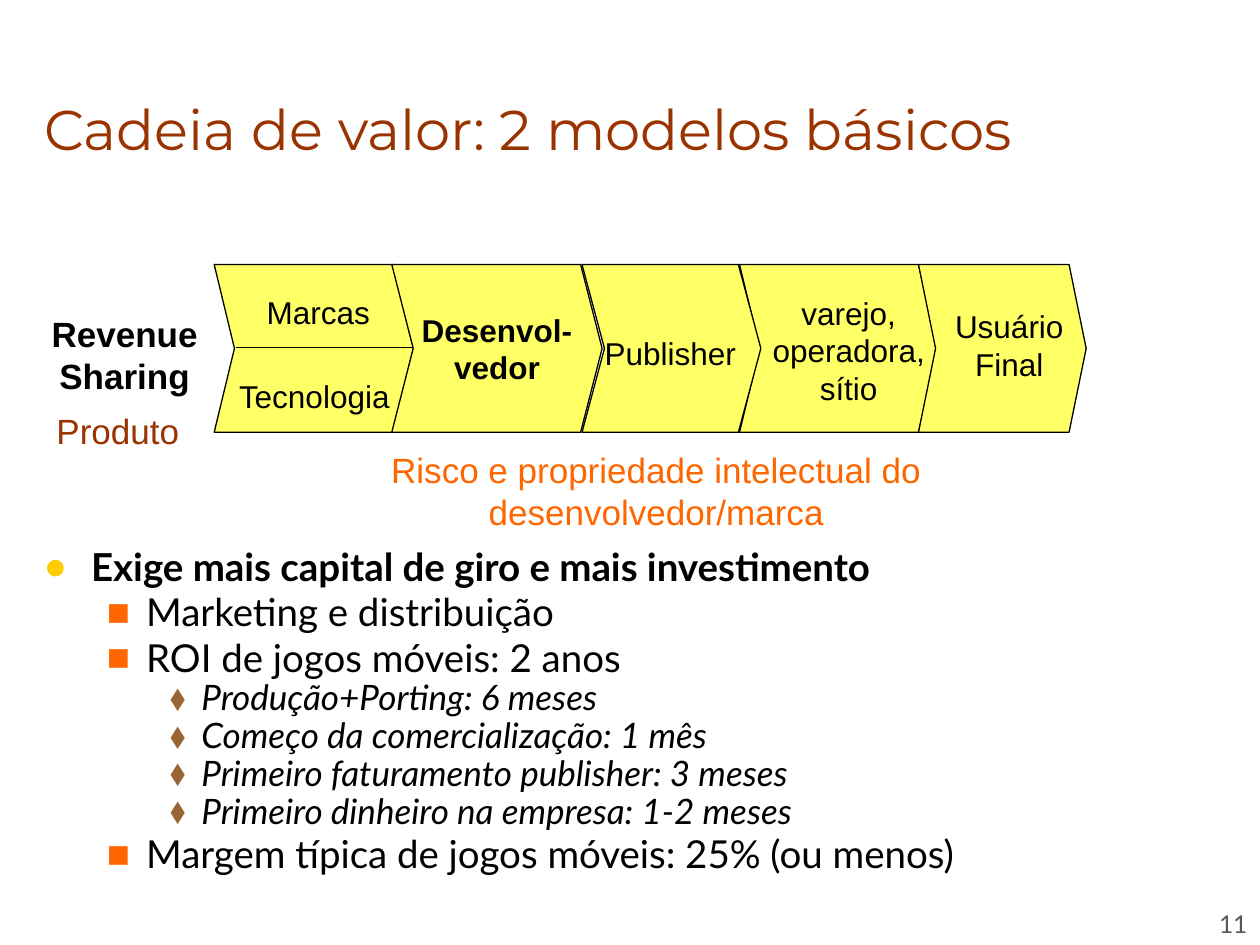
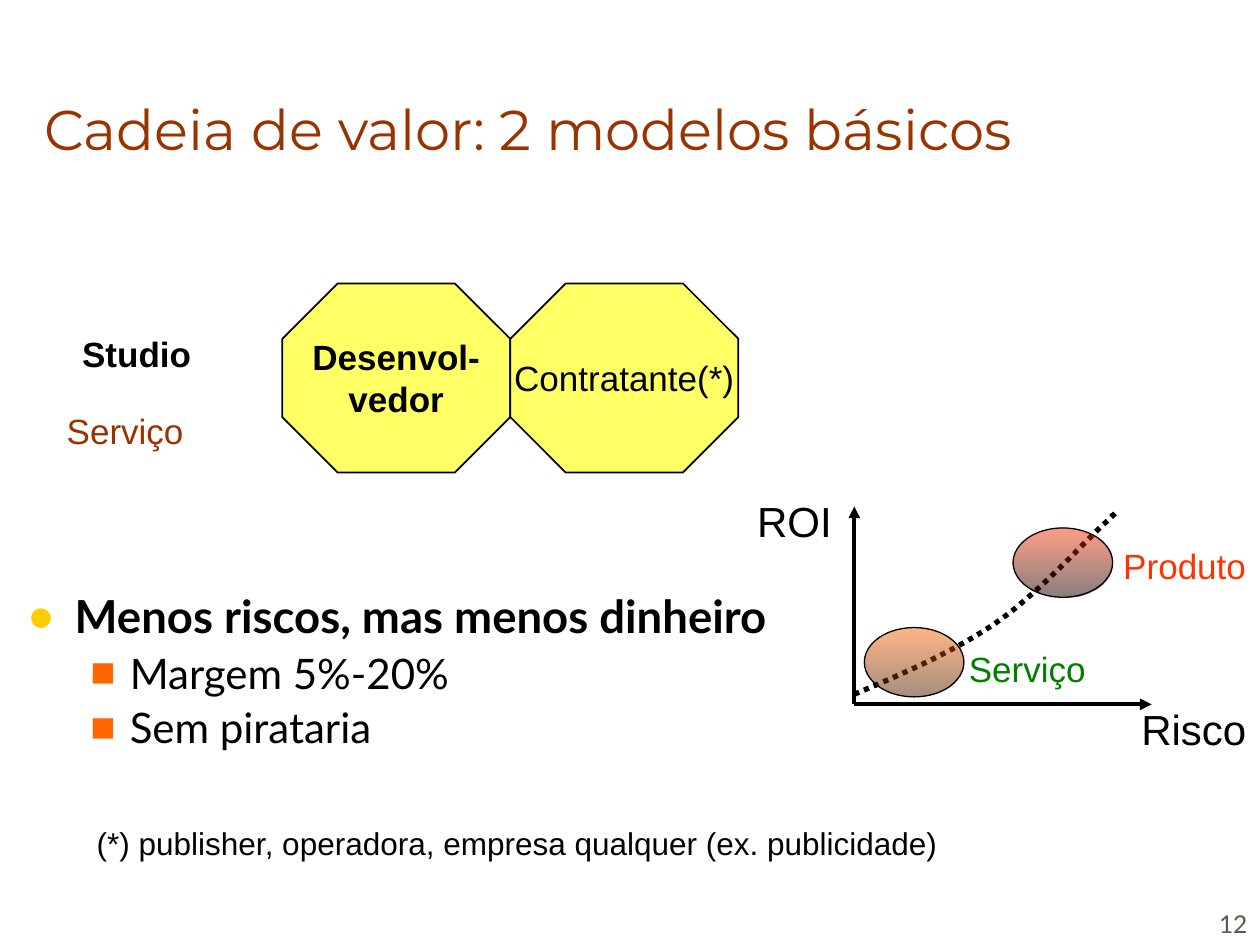
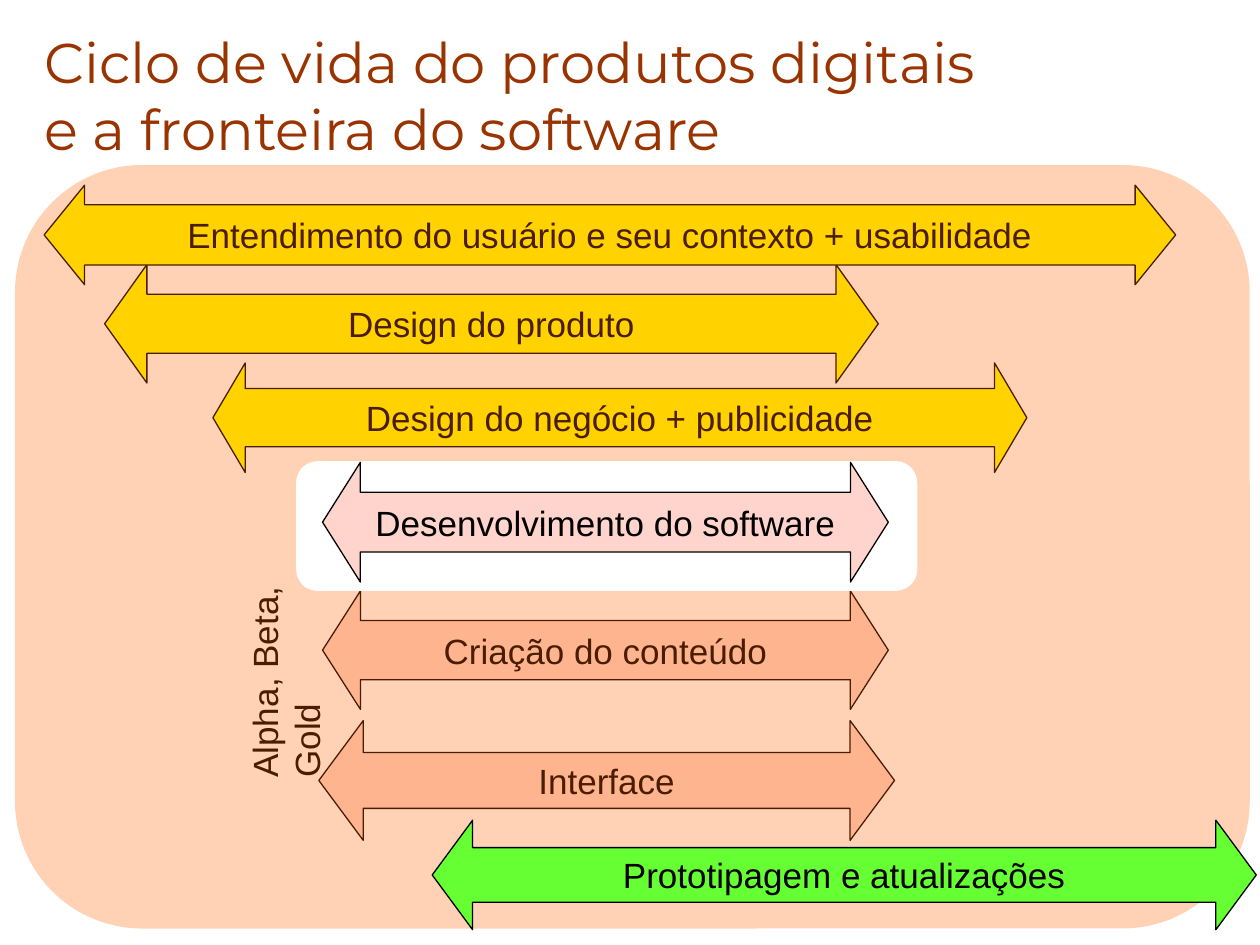
from typing import Any, NamedTuple

from lxml import etree
from pptx import Presentation
from pptx.dml.color import RGBColor
from pptx.enum.dml import MSO_LINE
from pptx.enum.shapes import MSO_CONNECTOR, MSO_SHAPE
from pptx.enum.text import MSO_ANCHOR, MSO_AUTO_SIZE, PP_ALIGN
from pptx.oxml.ns import qn
from pptx.util import Pt

CHEVRON = MSO_SHAPE.CHEVRON
OCTAGON = MSO_SHAPE.OCTAGON
DOUBLE_ARROW = MSO_SHAPE.LEFT_RIGHT_ARROW
ROUNDED = MSO_SHAPE.ROUNDED_RECTANGLE
ELLIPSE = MSO_SHAPE.OVAL
STRAIGHT = MSO_CONNECTOR.STRAIGHT
DOTTED = MSO_LINE.ROUND_DOT
LEFT, CENTER, RIGHT = PP_ALIGN.LEFT, PP_ALIGN.CENTER, PP_ALIGN.RIGHT
TOP, MIDDLE, BOTTOM = MSO_ANCHOR.TOP, MSO_ANCHOR.MIDDLE, MSO_ANCHOR.BOTTOM
FIT_SHAPE, NO_FIT = MSO_AUTO_SIZE.SHAPE_TO_FIT_TEXT, MSO_AUTO_SIZE.NONE

BLACK = RGBColor(0x00, 0x00, 0x00)
WHITE = RGBColor(0xFF, 0xFF, 0xFF)
RUST = RGBColor(0x99, 0x33, 0x00)
GRAY = RGBColor(0x5E, 0x57, 0x4E)
PALE_YELLOW = RGBColor(0xFF, 0xFF, 0x66)
YELLOW = RGBColor(0xFF, 0xFF, 0x00)
GOLD = RGBColor(0xFF, 0xCC, 0x00)
ORANGE = RGBColor(0xFF, 0x66, 0x00)
DARK_ORANGE = RGBColor(0x4D, 0x1F, 0x00)
RED = RGBColor(0xFF, 0x33, 0x00)
DARK_RED = RGBColor(0x10, 0x03, 0x00)
BROWN = RGBColor(0x99, 0x66, 0x33)
GREEN = RGBColor(0x00, 0x80, 0x00)
LIME = RGBColor(0x66, 0xFF, 0x33)
PINK = RGBColor(0xFF, 0xD4, 0xCC)

BODY_FONT, TITLE_FONT, LABEL_FONT = "Lato", "Montserrat", "Arial"


class Box(NamedTuple):
    left: float
    top: float
    width: float
    height: float

    def lengths(self) -> list[Pt]:
        return [Pt(length) for length in self]


class Label(NamedTuple):
    text: str
    box: Box
    size: float = 20
    color: RGBColor = BLACK
    bold: bool = False
    align: Any = LEFT
    wrap: bool = False
    spacing: float = 1.0
    rotation: float = 0
    font: str = LABEL_FONT
    anchor: Any = TOP


class Block(NamedTuple):
    kind: Any
    box: Box
    adjustments: tuple[float, ...]
    fill: RGBColor
    text: str = ""
    size: float = 20
    bold: bool = False
    border: float = 0.75


class BulletLevel(NamedTuple):
    mark: str
    color: RGBColor
    margin: float
    hanging: float
    before: float


class Item(NamedTuple):
    level: int
    text: str
    size: float
    bold: bool = False
    italic: bool = False


LEVELS = (
    BulletLevel("●", GOLD, 27, 27, 0.6),
    BulletLevel("■", ORANGE, 58.5, 22.5, 0.1),
    BulletLevel("⬧", BROWN, 90, 18, 0),
)
TITLE_BOX = Box(18, 6, 670, 90)
NUMBER_BOX = Box(570, 504, 150, 36)


def assign(target: Any, formats: dict[str, Any]) -> None:
    for attribute, value in formats.items():
        setattr(target, attribute, value)


def style_runs(frame: Any, align: Any, spacing: float, color: RGBColor, formats: dict[str, Any]) -> None:
    for paragraph in frame.paragraphs:
        assign(paragraph, {"alignment": align, "line_spacing": spacing})
        for run in paragraph.runs:
            assign(run.font, formats)
            run.font.color.rgb = color


def new_slide(deck: Any, title: str, number: str = "") -> Any:
    slide = deck.slides.add_slide(deck.slide_layouts.get_by_name("Title Only"))
    heading = slide.shapes.title
    assign(heading, dict(zip(("left", "top", "width", "height"), TITLE_BOX.lengths())))
    heading.text_frame.text = title
    assign(heading.text_frame, {"vertical_anchor": BOTTOM, "auto_size": NO_FIT})
    style_runs(heading.text_frame, LEFT, 1.0, RUST, {"name": TITLE_FONT, "size": Pt(32)})
    if number:
        add_label(slide, Label(number, NUMBER_BOX, 14, GRAY, align=RIGHT, wrap=True,
                               font=BODY_FONT, anchor=BOTTOM))
    return slide


def add_label(slide: Any, label: Label) -> None:
    caption = slide.shapes.add_textbox(*label.box.lengths())
    caption.rotation = label.rotation
    frame = caption.text_frame
    frame.text = label.text
    assign(frame, {
        "word_wrap": label.wrap,
        "auto_size": NO_FIT if label.wrap else FIT_SHAPE,
        "vertical_anchor": label.anchor,
    })
    style_runs(frame, label.align, label.spacing, label.color,
               {"name": label.font, "size": Pt(label.size), "bold": label.bold})


def outline(shape: Any, width: float) -> None:
    shape.line.color.rgb = BLACK
    shape.line.width = Pt(width)


def add_block(slide: Any, block: Block) -> None:
    shape = slide.shapes.add_shape(block.kind, *block.box.lengths())
    shape.shadow.inherit = False
    for index, adjustment in enumerate(block.adjustments):
        shape.adjustments[index] = adjustment
    shape.fill.solid()
    shape.fill.fore_color.rgb = block.fill
    outline(shape, block.border)
    if block.text:
        frame = shape.text_frame
        frame.text = block.text
        assign(frame, {"word_wrap": False, "vertical_anchor": MIDDLE})
        style_runs(frame, CENTER, 1.0, BLACK,
                   {"name": LABEL_FONT, "size": Pt(block.size), "bold": block.bold})


def set_opacity(shape: Any, *percents: int) -> None:
    for color, percent in zip(shape.element.spPr.iter(qn("a:srgbClr")), percents):
        etree.SubElement(color, qn("a:alpha"), val=str(percent * 1000))


def add_panel(slide: Any, box: Box, color: RGBColor, opacity: int = 100) -> None:
    panel = slide.shapes.add_shape(ROUNDED, *box.lengths())
    panel.shadow.inherit = False
    panel.fill.solid()
    panel.fill.fore_color.rgb = color
    panel.line.fill.background()
    if opacity < 100:
        set_opacity(panel, opacity)


def add_region(slide: Any, box: Box, upper: RGBColor, lower: RGBColor) -> None:
    region = slide.shapes.add_shape(ELLIPSE, *box.lengths())
    region.shadow.inherit = False
    region.fill.gradient()
    region.fill.gradient_angle = 270
    for stop, color in zip(region.fill.gradient_stops, (upper, lower)):
        stop.color.rgb = color
    set_opacity(region, 48, 51)
    outline(region, 0.75)


def add_line(slide: Any, start: tuple[float, float], end: tuple[float, float],
             width: float, arrow: bool = False) -> None:
    line = slide.shapes.add_connector(STRAIGHT, *map(Pt, start + end))
    outline(line, width)
    properties = line.element.spPr
    etree.SubElement(properties, qn("a:effectLst"))
    if arrow:
        etree.SubElement(properties.find(qn("a:ln")), qn("a:tailEnd"), type="triangle")


def add_bullets(slide: Any, box: Box, items: list[Item], spacing: float) -> None:
    frame = slide.shapes.add_textbox(*box.lengths()).text_frame
    frame.word_wrap = True
    for index, item in enumerate(items):
        paragraph = frame.add_paragraph() if index else frame.paragraphs[0]
        level = LEVELS[item.level]
        before = level.before * item.size if index else 0
        assign(paragraph, {"level": item.level, "line_spacing": spacing, "space_before": Pt(before)})
        properties = paragraph._p.get_or_add_pPr()
        properties.set("marL", str(Pt(level.margin)))
        properties.set("indent", str(-Pt(level.hanging)))
        bullet_color = etree.SubElement(properties, qn("a:buClr"))
        etree.SubElement(bullet_color, qn("a:srgbClr"), val=str(level.color))
        etree.SubElement(properties, qn("a:buFont"), typeface=LABEL_FONT)
        etree.SubElement(properties, qn("a:buChar"), char=level.mark)
        run = paragraph.add_run()
        run.text = item.text
        assign(run.font, {"name": BODY_FONT, "size": Pt(item.size),
                          "bold": item.bold, "italic": item.italic})
        run.font.color.rgb = BLACK


def bezier(points: list[tuple[float, float]], steps: int = 12) -> list[tuple[Pt, Pt]]:
    curve = []
    for step in range(1, steps + 1):
        t = step / steps
        weights = ((1 - t) ** 3, 3 * t * (1 - t) ** 2, 3 * t * t * (1 - t), t ** 3)
        x, y = (sum(w * p[axis] for w, p in zip(weights, points)) for axis in (0, 1))
        curve.append((Pt(x), Pt(y)))
    return curve


def add_return_curve(slide: Any, knots: list[tuple[float, float]]) -> None:
    builder = slide.shapes.build_freeform(Pt(knots[0][0]), Pt(knots[0][1]))
    for first in range(0, len(knots) - 1, 3):
        builder.add_line_segments(bezier(knots[first:first + 4]), close=False)
    curve = builder.convert_to_shape()
    curve.shadow.inherit = False
    curve.fill.background()
    outline(curve, 3)
    curve.line.dash_style = DOTTED


def build_product_model(deck: Any) -> None:
    slide = new_slide(deck, "Cadeia de valor: 2 modelos básicos", "11")
    chain = [
        (122.4, 113.8, 0.121, ""),
        (223.9, 120.2, 0.128, "Desenvol-\nvedor"),
        (422.6, 113.8, 0.121, ""),
        (524.9, 95.8, 0.102, ""),
        (332.6, 102.2, 0.134, ""),
    ]
    for left, width, notch, text in chain:
        add_block(slide, Block(CHEVRON, Box(left, 151.2, width, 95.8), (notch,),
                               PALE_YELLOW, text, 18, True))
    add_line(slide, (236.2, 198.7), (134.6, 198.7), 0.75)
    labels = [
        Label("Tecnologia", Box(116.6, 205.2, 126, 35.3), 18, align=CENTER, wrap=True, spacing=1.3),
        Label("Marcas", Box(139, 157.7, 85.7, 35.3), 18, align=CENTER, wrap=True, spacing=1.3),
        Label("varejo,\noperadora,\nsítio", Box(434.2, 164.2, 101.5, 72), 18, align=CENTER),
        Label("Usuário\nFinal", Box(538.6, 172.1, 76.3, 50.4), 18, align=CENTER),
        Label("Publisher", Box(338.4, 187.2, 89.3, 28.8), 18),
        Label("Revenue\vSharing", Box(22.3, 175, 97.9, 55.4), bold=True, align=CENTER),
        Label("Risco e propriedade intelectual do desenvolvedor/marca",
              Box(125, 252.7, 500, 31), color=ORANGE, align=CENTER, wrap=True),
        Label("Produto", Box(25.2, 230.4, 86, 31), color=RUST),
    ]
    for label in labels:
        add_label(slide, label)
    add_bullets(slide, Box(18, 309.6, 690, 198.7), [
        Item(0, "Exige mais capital de giro e mais investimento", 22, bold=True),
        Item(1, "Marketing e distribuição", 22),
        Item(1, "ROI de jogos móveis: 2 anos", 22),
        Item(2, "Produção+Porting: 6 meses", 20, italic=True),
        Item(2, "Começo da comercialização: 1 mês", 20, italic=True),
        Item(2, "Primeiro faturamento publisher: 3 meses", 20, italic=True),
        Item(2, "Primeiro dinheiro na empresa: 1-2 meses", 20, italic=True),
        Item(1, "Margem típica de jogos móveis: 25% (ou menos)", 22),
    ], 0.9)


def build_service_model(deck: Any) -> None:
    slide = new_slide(deck, "Cadeia de valor: 2 modelos básicos", "12")
    partners = [("Desenvol-\nvedor", True), ("Contratante(*)", False)]
    for index, (partner, bold) in enumerate(partners):
        add_block(slide, Block(OCTAGON, Box(161.3 + 130.3 * index, 162, 130.3, 108), (0.293,),
                               PALE_YELLOW, partner, bold=bold, border=1))
    add_bullets(slide, Box(8.6, 332.6, 690, 147.6), [
        Item(0, "Menos riscos, mas menos dinheiro", 26, bold=True),
        Item(1, "Margem 5%-20%", 24),
        Item(1, "Sem pirataria", 24),
    ], 1.0)
    origin = (488.2, 402.5)
    for axis_end in ((658.1, 402.5), (488.2, 289.4)):
        add_line(slide, origin, axis_end, 2.25, arrow=True)
    add_return_curve(slide, [
        (488.2, 396.7), (515.5, 385.2), (543.6, 373), (567.4, 357.1), (591.1, 341.3),
        (618.5, 311), (630, 300.2), (640.8, 290.2), (637.9, 292.3), (635, 295.2),
    ])
    add_region(slide, Box(493.9, 358.6, 56.9, 39.6), ORANGE, DARK_ORANGE)
    add_region(slide, Box(578.9, 301.7, 56.9, 39.6), RED, DARK_RED)
    labels = [
        Label("Studio", Box(39.6, 186.5, 77, 31), bold=True, align=CENTER),
        Label("Serviço", Box(31, 230.4, 82, 31), color=RUST),
        Label("(*) publisher, operadora, empresa qualquer (ex. publicidade)",
              Box(48.2, 467.3, 495.4, 28.8), 18),
        Label("ROI", Box(425.5, 279.4, 56.9, 36), 24),
        Label("Risco", Box(645.1, 398.2, 74.9, 36), 24),
        Label("Serviço", Box(546.5, 366.5, 82, 31), color=GREEN),
        Label("Produto", Box(634.8, 307.4, 85.2, 31), color=RED),
    ]
    for label in labels:
        add_label(slide, label)


def build_life_cycle(deck: Any) -> None:
    slide = new_slide(deck, "Ciclo de vida do produtos digitais\ve a fronteira do software")
    surrounding_phases = [
        ("Design do produto", Box(59.8, 151.2, 442.1, 67.7), (0.499, 0.357), YELLOW),
        ("Interface", Box(182.2, 411.8, 329, 68.4), (0.467, 0.371), PINK),
        ("Entendimento do usuário e seu contexto + usabilidade",
         Box(25.2, 105.8, 646.6, 56.9), (0.607, 0.407), YELLOW),
        ("Design do negócio + publicidade", Box(121.7, 207.4, 465.1, 62.6), (0.531, 0.295), YELLOW),
        ("Criação do conteúdo", Box(184.3, 337.7, 323.3, 67.7), (0.499, 0.32), PINK),
    ]
    highlighted_phases = [
        ("Desenvolvimento do software", Box(184.3, 264.2, 323.3, 68.4), (0.499, 0.316), PINK),
        ("Prototipagem e atualizações", Box(247, 468.7, 470.9, 62.6), (0.499, 0.369), LIME),
    ]
    for text, box, adjustments, fill in surrounding_phases:
        add_block(slide, Block(DOUBLE_ARROW, box, adjustments, fill, text))
    add_label(slide, Label("Alpha, Beta, Gold", Box(72.7, 357.1, 157, 31.7), wrap=True, rotation=270))
    add_panel(slide, Box(8.6, 94.3, 705.6, 436.3), ORANGE, 29)
    add_panel(slide, Box(169.2, 263.5, 355, 74.2), WHITE)
    for text, box, adjustments, fill in highlighted_phases:
        add_block(slide, Block(DOUBLE_ARROW, box, adjustments, fill, text))


def main() -> None:
    deck = Presentation()
    assign(deck, {"slide_width": Pt(720), "slide_height": Pt(540)})
    build_product_model(deck)
    build_service_model(deck)
    build_life_cycle(deck)
    deck.save("out.pptx")


if __name__ == "__main__":
    main()
